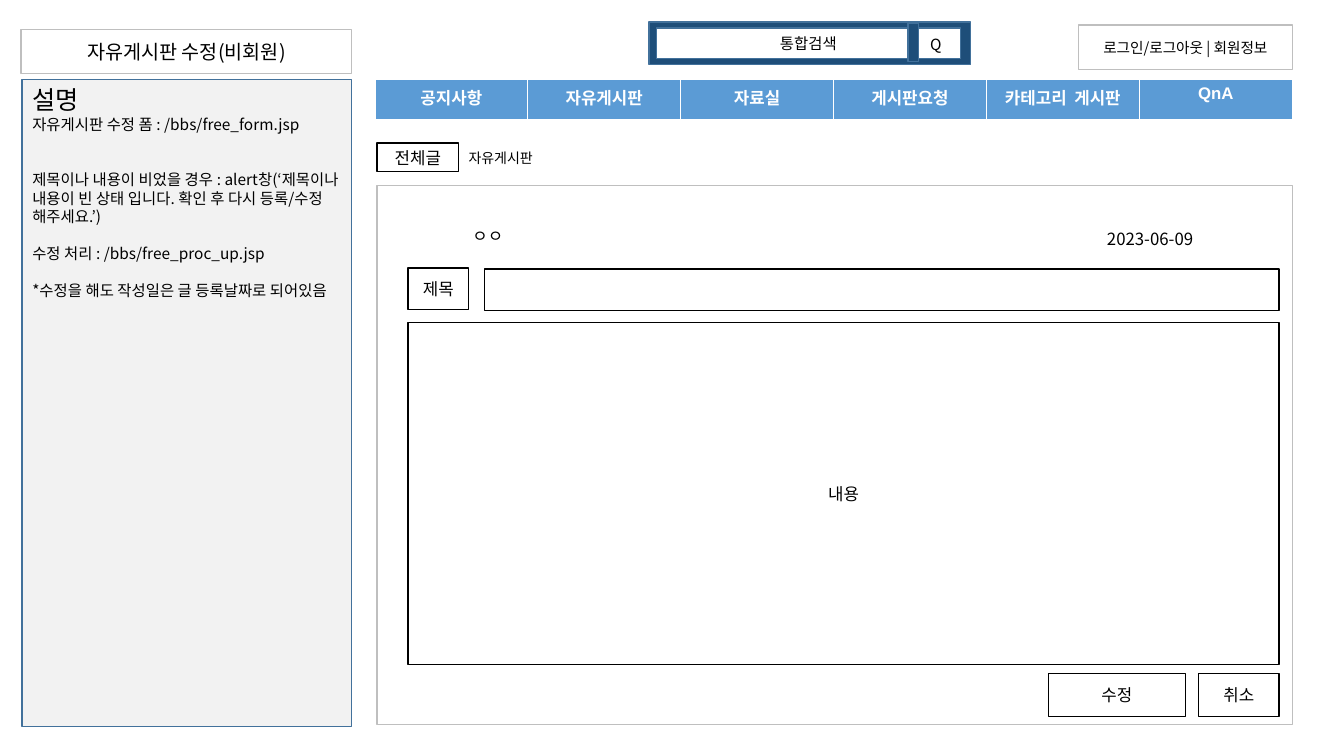
from dataclasses import dataclass

from lxml import etree
from pptx import Presentation
from pptx.dml.color import RGBColor
from pptx.enum.shapes import MSO_SHAPE
from pptx.enum.text import MSO_ANCHOR, MSO_AUTO_SIZE, PP_ALIGN
from pptx.oxml.ns import qn
from pptx.util import Inches, Pt


@dataclass(frozen=True)
class Theme:
    font: str = "Noto Sans CJK KR"
    menu_font: str = "Arial"
    ink: str = "000000"
    paper: str = "FFFFFF"
    panel: str = "F2F2F2"
    soft: str = "BFBFBF"
    edge: str = "42719B"
    navy: str = "1E4E79"
    menu: str = "5B9BD5"
    heading: float = 18
    title: float = 14
    label: float = 12
    note: float = 11
    account: float = 10.5
    small: float = 10
    leading: float = 1.2
    columns: int = 80
    rows: int = 45


class Wireframe:
    def __init__(self, prs, theme):
        self.theme = theme
        self.slide = prs.slides.add_slide(prs.slide_layouts[1])
        self.column = prs.slide_width / theme.columns
        self.row = prs.slide_height / theme.rows

    def place(self, x, y, w, h):
        return (round(x * self.column), round(y * self.row),
                round(w * self.column), round(h * self.row))

    def paint(self, shape, fill, line):
        for target, color in ((shape.fill, fill), (shape.line.fill, line)):
            if color:
                target.solid()
                target.fore_color.rgb = RGBColor.from_string(color)
            else:
                target.background()
        if line:
            shape.line.width = Pt(1)

    def style(self, paragraph, size, color, font, align, bold=False):
        paragraph.alignment = align
        for run in paragraph.runs:
            run.font.size, run.font.bold, run.font.name = Pt(size), bold, font
            run.font.color.rgb = RGBColor.from_string(color)
            east = etree.SubElement(run.font._element, qn("a:ea"))
            east.set("typeface", self.theme.font)

    def set_text(self, shape, lines, align=PP_ALIGN.CENTER, anchor=MSO_ANCHOR.MIDDLE):
        frame = shape.text_frame
        frame.word_wrap, frame.auto_size = True, MSO_AUTO_SIZE.NONE
        frame.vertical_anchor = anchor
        frame.text = "\n".join(text for text, size, gap in lines)
        for paragraph, (text, size, gap) in zip(frame.paragraphs, lines):
            self.style(paragraph, size, self.theme.ink, self.theme.font, align)
            leading = size * self.theme.leading
            paragraph.line_spacing = Pt(leading)
            paragraph.space_before, paragraph.space_after = Pt(gap * leading), Pt(0)

    def box(self, area, text="", size=None, fill=Theme.paper, line=Theme.ink, **layout):
        shape = self.slide.shapes.add_shape(MSO_SHAPE.RECTANGLE, *self.place(*area))
        shape.shadow.inherit = False
        self.paint(shape, fill, line)
        if text:
            self.set_text(shape, [(text, size or self.theme.label, 0)], **layout)

    def placeholder(self, index, area, lines, fill, line, **layout):
        shape = self.slide.placeholders[index]
        shape.left, shape.top, shape.width, shape.height = self.place(*area)
        self.paint(shape, fill, line)
        self.set_text(shape, lines, **layout)
        for paragraph in shape.text_frame.paragraphs:
            properties = paragraph._p.get_or_add_pPr()
            properties.set("marL", "0")
            properties.set("indent", "0")
            etree.SubElement(properties, qn("a:buNone"))

    def menu(self, area, labels):
        theme = self.theme
        table = self.slide.shapes.add_table(1, len(labels), *self.place(*area)).table
        for cell, label in zip(table.rows[0].cells, labels):
            cell.text = label
            self.style(cell.text_frame.paragraphs[0], theme.label, theme.paper,
                       theme.menu_font, PP_ALIGN.CENTER, True)
            properties = cell._tc.get_or_add_tcPr()
            for side, width in (("L", 1), ("R", 1), ("T", 1), ("B", 3)):
                border = etree.SubElement(properties, qn("a:ln" + side), w=str(int(Pt(width))))
                solid = etree.SubElement(border, qn("a:solidFill"))
                etree.SubElement(solid, qn("a:srgbClr"), val=theme.paper)
            cell.fill.solid()
            cell.fill.fore_color.rgb = RGBColor.from_string(theme.menu)


prs = Presentation()
prs.slide_width, prs.slide_height = Inches(13.33), Inches(7.5)
theme = Theme()
page = Wireframe(prs, theme)

page.placeholder(0, (1.26, 1.74, 19.68, 2.64),
                 [("자유게시판 수정(비회원)", theme.title, 0)], theme.paper, theme.soft)
page.placeholder(1, (1.32, 4.74, 19.6, 38.52), [
    ("설명", theme.heading, 0),
    ("자유게시판 수정 폼 : /bbs/free_form.jsp", theme.note, 0),
    ("제목이나 내용이 비었을 경우 : alert창(‘제목이나 내용이 빈 상태 입니다. "
     "확인 후 다시 등록/수정 해주세요.’)", theme.note, 2),
    ("수정 처리 : /bbs/free_proc_up.jsp", theme.note, 1),
    ("*수정을 해도 작성일은 글 등록날짜로 되어있음", theme.note, 1),
], theme.panel, theme.edge, align=PP_ALIGN.LEFT, anchor=MSO_ANCHOR.TOP)

page.box((64.2, 1.5, 12.72, 2.64), "로그인/로그아웃 | 회원정보", theme.account, line=theme.soft)
page.box((38.64, 1.32, 19.14, 2.52), fill=theme.navy, line=theme.edge)
page.box((39.06, 1.68, 18.12, 1.8), "통합검색", theme.note, line=theme.edge)
page.box((54.06, 1.38, 0.6, 2.28), fill=theme.navy, line=theme.edge)
page.box((54.24, 1.47, 2.94, 2.4), "Q", theme.note, fill=None, line=None)
page.menu((22.32, 4.74, 54.6, 2.46),
          ["공지사항", "자유게시판", "자료실", "게시판요청", "카테고리  게시판", "QnA"])

main_left, form_left, form_right = 22.44, 24.3, 76.14
page.box((main_left, 8.52, 4.86, 1.68), "전체글", anchor=MSO_ANCHOR.TOP)
page.box((27.3, 8.58, 6.84, 1.62), "자유게시판", theme.small, fill=None, line=None,
         align=PP_ALIGN.LEFT, anchor=MSO_ANCHOR.TOP)
page.box((main_left, 11.04, 54.48, 32.1), line=theme.soft)
page.box((form_left, 12.78, 9.48, 2.46), "ㅇㅇ", line=None)
page.box((60.96, 12.96, 15, 2.46), "2023-06-09", line=None)
page.box((form_left, 15.96, 3.6, 2.46), "제목")
page.box((28.86, 16.02, form_right - 28.86, 2.46))
page.box((form_left, 19.2, form_right - form_left, 20.34), "내용")
for label, left, width in (("수정", 62.4, 8.16), ("취소", 71.34, form_right - 71.34)):
    page.box((left, 40.08, width, 2.58), label)

prs.save("out.pptx")
